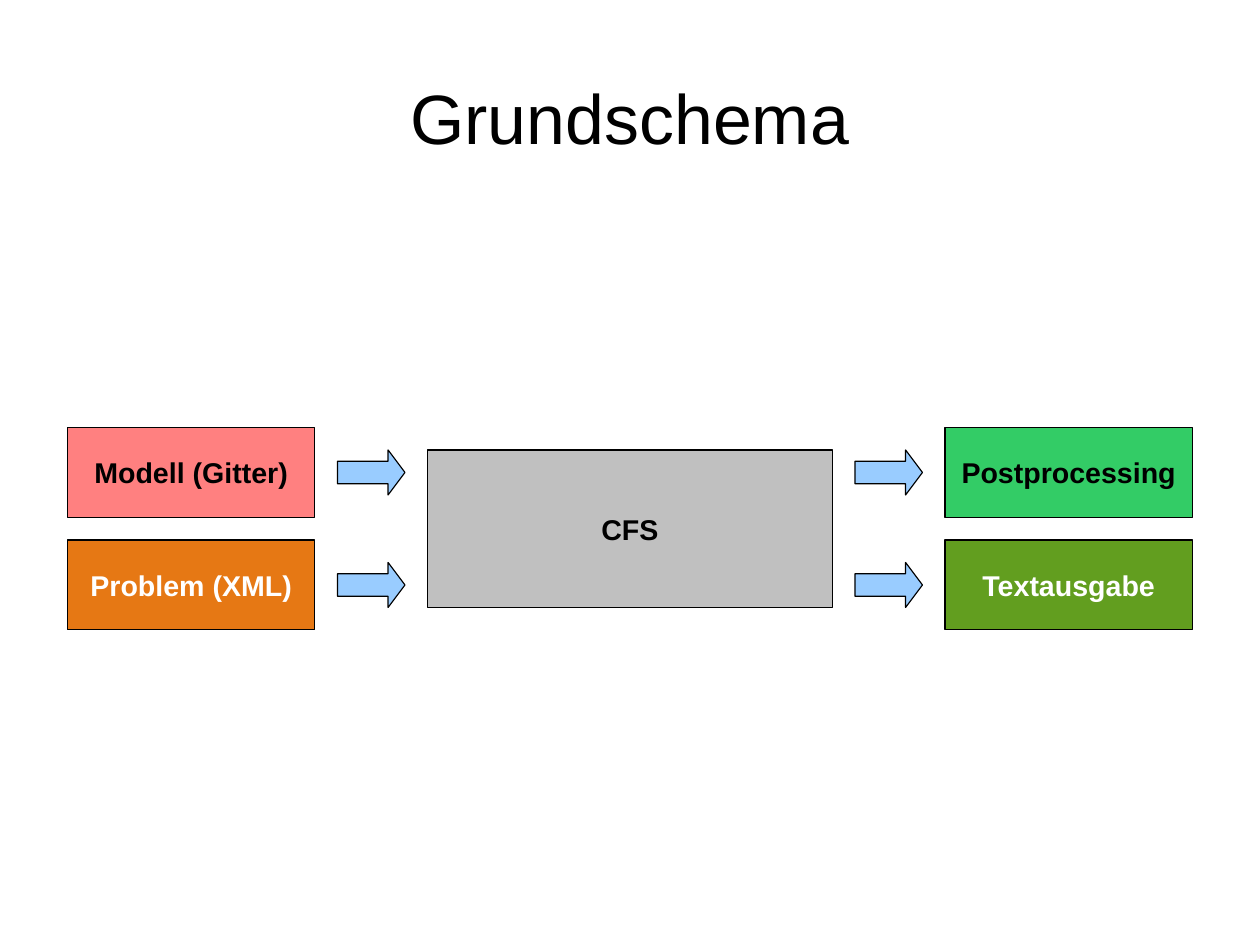
from pptx import Presentation
from pptx import util as u
from pptx.dml.color import RGBColor
from pptx.enum import shapes, text

HUES = {
    "black": "000000", "white": "FFFFFF", "grey": "C0C0C0", "blue": "99CCFF",
    "red": "FF8080", "orange": "E67814", "green": "33CC66", "olive": "629E1F",
}
TITLE = "Grundschema"
CORE = ("CFS", "grey", "black")
INPUTS = [("Modell (Gitter)", "red", "black"), ("Problem (XML)", "orange", "white")]
OUTPUTS = [("Postprocessing", "green", "black"), ("Textausgabe", "olive", "white")]

WIDTH, HEIGHT = 28, 21
BOX_W, BOX_H = 5.5, 2
ARROW_W, ARROW_H = 1.5, 1
CORE_W, CORE_H = 9, 3.5
EDGE, GAP = 1.5, 0.5
TOP = 9.5


def hue(name):
    return RGBColor.from_string(HUES[name])


def write(shape, words, size, color, bold):
    frame = shape.text_frame
    frame.text = words
    frame.word_wrap = True
    frame.vertical_anchor = text.MSO_ANCHOR.MIDDLE
    line = frame.paragraphs[0]
    line.alignment = text.PP_ALIGN.CENTER
    font = line.runs[0].font
    font.name, font.size, font.bold = "Arial", u.Pt(size), bold
    font.color.rgb = hue(color)


def draw(slide, kind, area, fill):
    shape = slide.shapes.add_shape(kind, *map(u.Cm, area))
    shape.shadow.inherit = False
    shape.fill.solid()
    shape.fill.fore_color.rgb = hue(fill)
    shape.line.color.rgb = hue("black")
    shape.line.width = u.Pt(0)
    return shape


def add_box(slide, area, label):
    words, fill, color = label
    box = draw(slide, shapes.MSO_SHAPE.RECTANGLE, area, fill)
    write(box, words, 18, color, True)


def add_arrow(slide, left, top):
    area = (left, top, ARROW_W, ARROW_H)
    arrow = draw(slide, shapes.MSO_SHAPE.RIGHT_ARROW, area, "blue")
    arrow.adjustments[0] = 0.5
    arrow.adjustments[1] = 0.375


def main():
    deck = Presentation()
    deck.slide_width, deck.slide_height = u.Cm(WIDTH), u.Cm(HEIGHT)
    slide = deck.slides.add_slide(deck.slide_layouts[6])

    title = slide.shapes.add_textbox(*map(u.Cm, (1.4, 0.84, 25.2, 3.5)))
    frame = title.text_frame
    frame.margin_left = frame.margin_right = 0
    frame.margin_top = frame.margin_bottom = 0
    write(title, TITLE, 44, "black", False)

    core_x = (WIDTH - CORE_W) / 2
    add_box(slide, (core_x, TOP + GAP, CORE_W, CORE_H), CORE)

    sides = [
        (EDGE, core_x - GAP - ARROW_W, INPUTS),
        (WIDTH - EDGE - BOX_W, core_x + CORE_W + GAP, OUTPUTS),
    ]
    for box_x, arrow_x, labels in sides:
        for row, label in enumerate(labels):
            top = TOP + row * (BOX_H + GAP)
            add_box(slide, (box_x, top, BOX_W, BOX_H), label)
            add_arrow(slide, arrow_x, top + (BOX_H - ARROW_H) / 2)

    deck.save("out.pptx")


if __name__ == "__main__":
    main()
